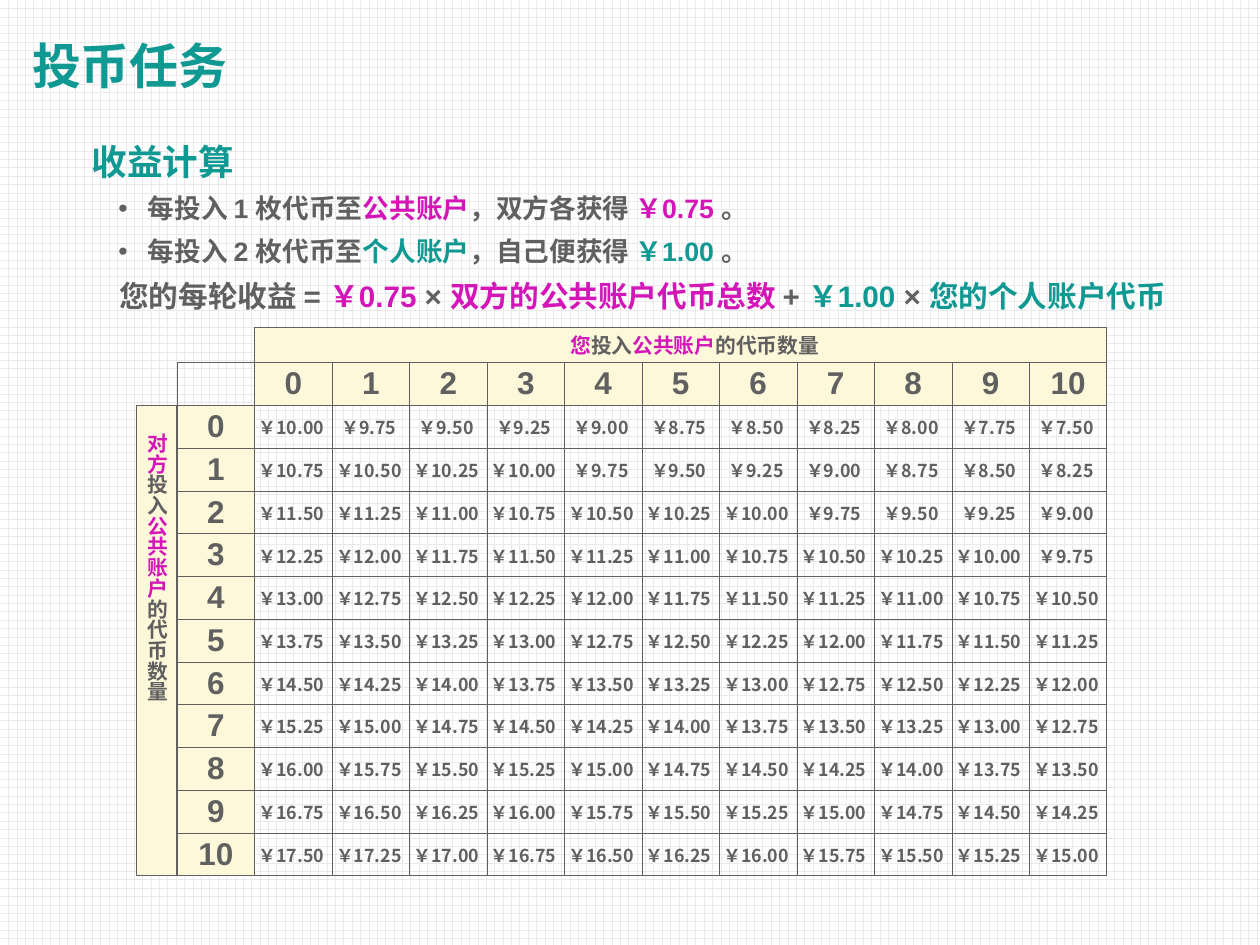
"""Builds the coin task slide with its payoff rules and payoff table."""
from lxml.etree import SubElement
from pptx import Presentation
from pptx.dml.color import RGBColor
from pptx.enum.dml import MSO_PATTERN_TYPE as Pattern
from pptx.enum.shapes import MSO_SHAPE as Shape
from pptx.enum.text import MSO_ANCHOR as Anchor, MSO_AUTO_SIZE as AutoSize, PP_ALIGN as Align
from pptx.oxml import parse_xml
from pptx.oxml.ns import nsdecls, qn
from pptx.util import Pt

COLORS = {"teal": "0F9992", "gray": "606060", "pink": "D416B9",
          "cream": "FEF8DA", "dots": "EAEAEA", "white": "FFFFFF"}
LATIN, CHINESE = "Arial", "Noto Sans CJK SC"

TITLE = [("投币任务", "teal")]
HEADING = [("收益计算", "teal")]
RULES = [
    [("每投入 1 枚代币至", "gray"), ("公共账户", "pink"), ("，双方各获得 ", "gray"),
     ("￥0.75 ", "pink"), ("。", "gray")],
    [("每投入 2 枚代币至", "gray"), ("个人账户", "teal"), ("，自己便获得 ", "gray"),
     ("￥1.00 ", "teal"), ("。", "gray")],
]
FORMULA = [("您的每轮收益 = ", "gray"), ("￥0.75", "pink"), (" × ", "gray"),
           ("双方的公共账户代币总数 ", "pink"), ("+ ", "gray"), ("￥1.00", "teal"),
           (" × ", "gray"), ("您的个人账户代币", "teal")]
LABEL_TAIL = [("投入", "gray"), ("公共账户", "pink"), ("的代币数量", "gray")]
YOUR_LABEL = [("您", "pink")] + LABEL_TAIL
OTHER_LABEL = [("对方", "pink")] + LABEL_TAIL

MAX_COINS = 10
BASE_PAYOFF, OTHER_GAIN, OWN_COST = 10, 0.75, 0.25
TABLE_LEFT, TABLE_TOP, COLUMN, ROW = 239.04, 489.6, 104.58, 57.72
SIZE = MAX_COINS + 2


def color(name):
    return RGBColor.from_string(COLORS[name])


def write(para, spans, size, font=LATIN, align=Align.LEFT, space=0, line=None):
    """Fills a paragraph with coloured bold spans."""
    para.alignment = align
    para.space_before = para.space_after = Pt(space)
    if line:
        para.line_spacing = line
    for text, name in spans:
        span = para.add_run()
        span.text = text
        span.font.size, span.font.bold, span.font.name = Pt(size), True, font
        span.font.color.rgb = color(name)
        SubElement(span.font._element, qn("a:ea")).set("typeface", CHINESE)


def indent(para, left, first=0, bullet=None):
    """Sets the indents of a paragraph and its bullet, in points."""
    props = para._p.get_or_add_pPr()
    props.set("marL", str(Pt(left)))
    props.set("indent", str(Pt(first)))
    if bullet:
        SubElement(props, qn("a:buFont")).set("typeface", LATIN)
        SubElement(props, qn("a:buChar")).set("char", bullet)


def add_label(slide, area, spans, align):
    """Adds a framed axis label and returns it."""
    box = slide.shapes.add_shape(Shape.RECTANGLE, *map(Pt, area))
    box.shadow.inherit = False
    box.fill.solid()
    box.fill.fore_color.rgb = color("cream")
    box.line.color.rgb, box.line.width = color("gray"), Pt(1.5)
    frame = box.text_frame
    frame.word_wrap, frame.vertical_anchor = True, Anchor.MIDDLE
    write(frame.paragraphs[0], spans, 28, align=align, space=7.1)
    indent(frame.paragraphs[0], 37.44)
    return box


def add_borders(cell):
    """Draws a thin line on the four sides of a cell."""
    props = cell._tc.get_or_add_tcPr()
    for place, side in enumerate(("lnL", "lnR", "lnT", "lnB")):
        props.insert(place, parse_xml(
            f'<a:{side} {nsdecls("a")} w="{Pt(1)}"><a:solidFill>'
            f'<a:srgbClr val="{COLORS["gray"]}"/></a:solidFill></a:{side}>'))


def add_rules(slide):
    """Adds the heading, the two rules and the payoff formula."""
    frame = slide.shapes.add_textbox(*map(Pt, (116.64, 186.48, 1466.64, 995.76))).text_frame
    frame.word_wrap, frame.auto_size = True, AutoSize.NONE
    write(frame.paragraphs[0], HEADING, 48, space=6, line=Pt(56))
    for rule in RULES:
        para = frame.add_paragraph()
        write(para, rule, 36, space=7.1, line=Pt(43.7))
        indent(para, 75.6, -39.6, "•")
    para = frame.add_paragraph()
    write(para, FORMULA, 40, space=7.1, line=Pt(48.6))
    indent(para, 37.44)


def add_payoffs(slide):
    """Adds the table of payoffs for every pair of contributions."""
    area = (TABLE_LEFT, TABLE_TOP, COLUMN * SIZE, ROW * SIZE)
    table = slide.shapes.add_table(SIZE, SIZE, *map(Pt, area)).table
    table.first_row = table.horz_banding = False
    for column, row in zip(table.columns, table.rows):
        column.width, row.height = Pt(COLUMN), Pt(ROW)
    for other in range(-1, MAX_COINS + 1):
        for own in range(-1, MAX_COINS + 1):
            cell = table.cell(other + 1, own + 1)
            cell.vertical_anchor = Anchor.MIDDLE
            cell.fill.background()
            para = cell.text_frame.paragraphs[0]
            if min(own, other) >= 0:
                payoff = BASE_PAYOFF + OTHER_GAIN * other - OWN_COST * own
                cell.margin_left = cell.margin_right = cell.margin_top = Pt(0.72)
                cell.margin_bottom = 0
                write(para, [(f"￥{payoff:.2f} ", "gray")], 24, CHINESE, Align.CENTER)
            elif max(own, other) >= 0:
                cell.fill.solid()
                cell.fill.fore_color.rgb = color("cream")
                write(para, [(str(max(own, other)), "gray")], 42.5, align=Align.CENTER)
            add_borders(cell)


def main():
    deck = Presentation()
    deck.slide_width, deck.slide_height = Pt(1700.64), Pt(1275.84)
    slide = deck.slides.add_slide(deck.slide_layouts[5])
    backdrop = slide.background.fill
    backdrop.patterned()
    backdrop.pattern = Pattern.DOTTED_GRID
    backdrop.fore_color.rgb, backdrop.back_color.rgb = color("dots"), color("white")

    title = slide.shapes.title
    title.left, title.top, title.width, title.height = map(Pt, (36, 0, 1104.48, 186.48))
    title.text_frame.vertical_anchor = Anchor.MIDDLE
    write(title.text_frame.paragraphs[0], TITLE, 66.1, align=Align.JUSTIFY, line=0.9)

    add_rules(slide)
    add_payoffs(slide)
    add_label(slide, (TABLE_LEFT + COLUMN, TABLE_TOP - 47.5, COLUMN * (SIZE - 1), 47.5),
              YOUR_LABEL, Align.CENTER)
    side = add_label(slide, (TABLE_LEFT - 54.72, TABLE_TOP + ROW, 54.72, ROW * (SIZE - 1)),
                     OTHER_LABEL, Align.LEFT)
    frame = side.text_frame
    frame.margin_left = frame.margin_right = frame.margin_top = frame.margin_bottom = 0
    side.element.txBody.bodyPr.set("vert", "eaVert")
    deck.save("out.pptx")


if __name__ == "__main__":
    main()
